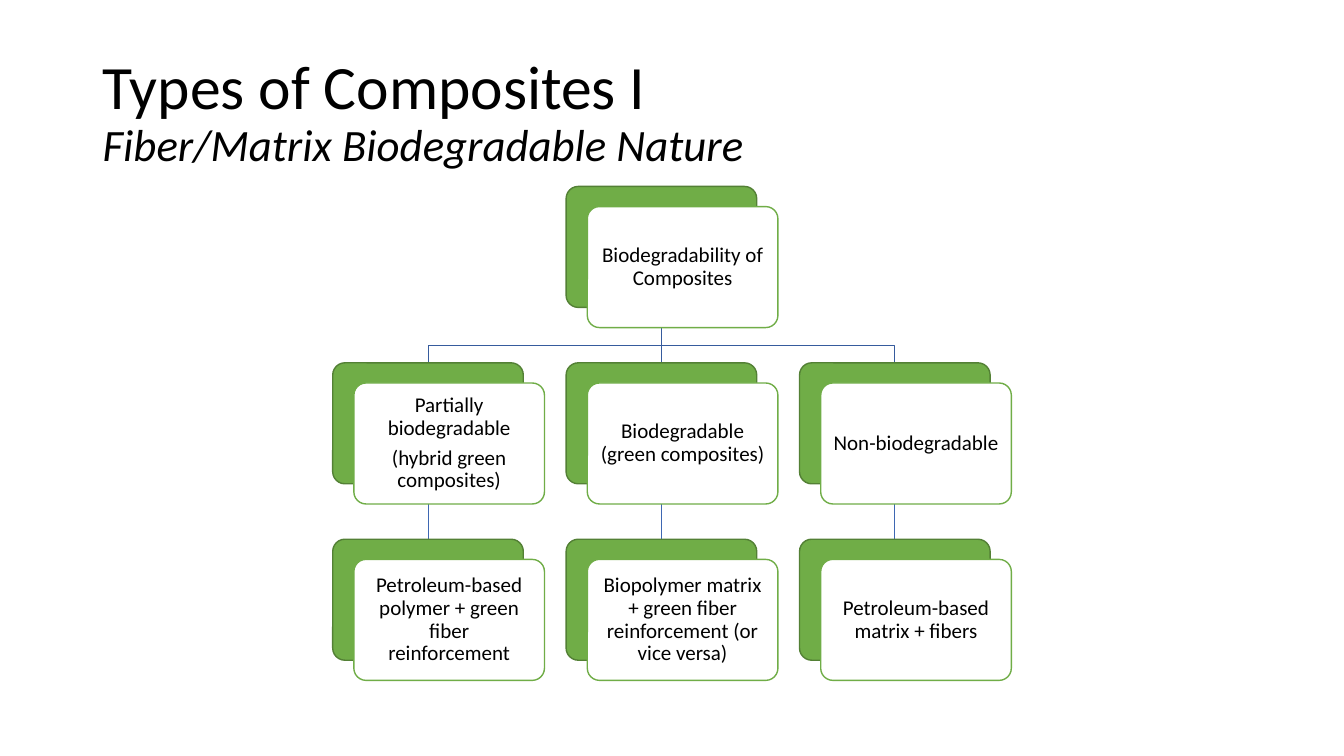
from pptx import Presentation
from pptx.dml.color import RGBColor
from pptx.enum.shapes import MSO_CONNECTOR, MSO_SHAPE
from pptx.enum.text import MSO_ANCHOR, PP_ALIGN
from pptx.oxml.ns import qn
from pptx.util import Inches, Pt
from lxml import etree

ROUNDED = MSO_SHAPE.ROUNDED_RECTANGLE
STRAIGHT = MSO_CONNECTOR.STRAIGHT
MIDDLE = MSO_ANCHOR.MIDDLE
LEFT, CENTER = PP_ALIGN.LEFT, PP_ALIGN.CENTER

TITLE = [[("Types of Composites I", 44, False), ("Fiber/Matrix Biodegradable Nature", 32, True)]]
ROOT = ["Biodegradability of Composites"]
BRANCHES = [
    (["Partially biodegradable", "(hybrid green composites)"],
     ["Petroleum-based polymer + green fiber reinforcement"]),
    (["Biodegradable (green composites)"],
     ["Biopolymer matrix + green fiber reinforcement (or vice versa)"]),
    (["Non-biodegradable"],
     ["Petroleum-based matrix + fibers"]),
]
FONT, TEXT_SIZE = "Calibri", 15
BLACK, WHITE, GREEN, DARK_GREEN = "000000", "FFFFFF", "70AD47", "538035"
UPPER_LINE, LOWER_LINE = "365B9D", "3E67B2"

WIDTH, HEIGHT = 13.33, 7.5
GRID_LEFT, GRID_TOP = 3.3, 1.85
COLUMN, ROW = 2.315, 1.75
CARD_W, CARD_H = 1.89, 1.2
OFFSET_X, OFFSET_Y = 0.21, 0.2
RAIL_Y = 3.43


def rgb(value):
    return RGBColor.from_string(value)


def write(shape, paragraphs, align=LEFT, margins=(0.1, 0.05), after=0):
    tf = shape.text_frame
    tf.word_wrap = True
    tf.vertical_anchor = MIDDLE
    tf.margin_left = tf.margin_right = Inches(margins[0])
    tf.margin_top = tf.margin_bottom = Inches(margins[1])
    for i, lines in enumerate(paragraphs):
        p = tf.add_paragraph() if i else tf.paragraphs[0]
        p.alignment = align
        p.line_spacing = 0.9
        p.space_after = Pt(after)
        for j, (text, size, italic) in enumerate(lines):
            if j:
                p.add_line_break()
            r = p.add_run()
            r.text = text
            r.font.name = FONT
            r.font.size = Pt(size)
            r.font.italic = italic
            r.font.color.rgb = rgb(BLACK)


def add_panel(x, y, fill, line):
    sp = s.shapes.add_shape(ROUNDED, Inches(x), Inches(y), Inches(CARD_W), Inches(CARD_H))
    sp.adjustments[0] = 0.1
    sp.shadow.inherit = False
    sp.fill.solid()
    sp.fill.fore_color.rgb = rgb(fill)
    sp.line.color.rgb = rgb(line)
    sp.line.width = Pt(1)
    return sp


def add_node(column, row, texts):
    x, y = GRID_LEFT + column * COLUMN, GRID_TOP + row * ROW
    add_panel(x, y, GREEN, DARK_GREEN)
    card = add_panel(x + OFFSET_X, y + OFFSET_Y, WHITE, GREEN)
    write(card, [[(text, TEXT_SIZE, False)] for text in texts], CENTER, (0.09, 0.09), 0.35 * TEXT_SIZE)


def add_drop(x, top, bottom, color):
    line = s.shapes.add_connector(STRAIGHT, Inches(x), Inches(top), Inches(x), Inches(bottom))
    line.line.color.rgb = rgb(color)
    line.line.width = Pt(0.5)
    etree.SubElement(line._element.spPr, qn("a:effectLst"))


def add_elbow(x, top, end_x, bottom, color):
    points = [(x, RAIL_Y), (end_x, RAIL_Y), (end_x, bottom)]
    builder = s.shapes.build_freeform(Inches(x), Inches(top))
    builder.add_line_segments([(Inches(a), Inches(b)) for a, b in points], close=False)
    sp = builder.convert_to_shape()
    sp.shadow.inherit = False
    sp.fill.background()
    sp.line.color.rgb = rgb(color)
    sp.line.width = Pt(0.5)


prs = Presentation()
prs.slide_width, prs.slide_height = Inches(WIDTH), Inches(HEIGHT)
s = prs.slides.add_slide(prs.slide_layouts[6])

title = s.shapes.add_textbox(Inches(0.92), Inches(0.4), Inches(11.5), Inches(1.45))
write(title, TITLE)

row_tops = [GRID_TOP + row * ROW for row in range(3)]
row_ends = [top + CARD_H for top in row_tops]
centers = [GRID_LEFT + column * COLUMN + CARD_W / 2 for column in range(len(BRANCHES))]
root_column = len(BRANCHES) // 2
root_x = centers[root_column]

for x in centers:
    add_drop(x, row_ends[1], row_tops[2], LOWER_LINE)
    if x == root_x:
        add_drop(x, row_ends[0], row_tops[1], UPPER_LINE)
    else:
        add_elbow(root_x, row_ends[0], x, row_tops[1], UPPER_LINE)

add_node(root_column, 0, ROOT)
for column, branch in enumerate(BRANCHES):
    for row, texts in enumerate(branch, 1):
        add_node(column, row, texts)

prs.save("out.pptx")
